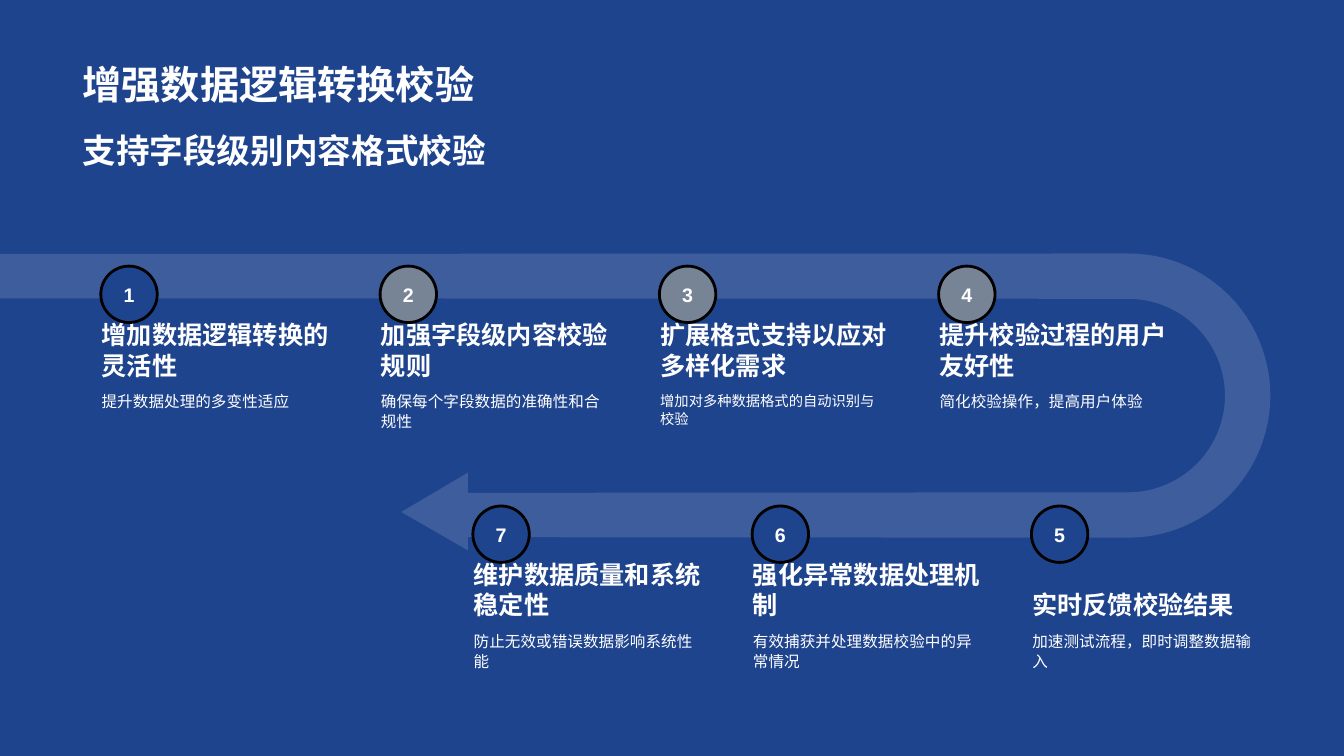
from dataclasses import dataclass
from math import cos, pi, sin

from lxml.etree import SubElement
from pptx import Presentation
from pptx.dml.color import RGBColor
from pptx.enum.lang import MSO_LANGUAGE_ID
from pptx.enum.shapes import MSO_SHAPE
from pptx.enum.text import MSO_ANCHOR, MSO_AUTO_SIZE, PP_ALIGN
from pptx.oxml.ns import qn
from pptx.shapes.base import BaseShape
from pptx.slide import Slide
from pptx.util import Inches, Pt

FONT = "Arial"
BLUE = RGBColor(0x1F, 0x44, 0x8E)
GREY = RGBColor(0x77, 0x84, 0x95)
PALE = RGBColor(0xF0, 0xF0, 0xF0)
WHITE = RGBColor(0xFF, 0xFF, 0xFF)
BLACK = RGBColor(0, 0, 0)

STEP_PITCH = 2.77
STEP_WIDTH = 2.46
HEADING_HEIGHT = 0.62
DETAIL_HEIGHT = 0.51
BADGE_SIZE = 0.56
UPPER_LEFT, UPPER_TOP = 0.91, 3.2
LOWER_LEFT, LOWER_TOP = 10.14, 5.58
UPPER_COUNT = 4


@dataclass
class Step:
    heading: str
    detail: str
    badge: RGBColor = BLUE
    detail_size: float = 11.1


STEPS = [
    Step("增加数据逻辑转换的灵活性", "提升数据处理的多变性适应"),
    Step("加强字段级内容校验规则", "确保每个字段数据的准确性和合规性", GREY),
    Step("扩展格式支持以应对多样化需求", "增加对多种数据格式的自动识别与校验", GREY, 10.2),
    Step("提升校验过程的用户友好性", "简化校验操作，提高用户体验", GREY),
    Step("实时反馈校验结果", "加速测试流程，即时调整数据输入"),
    Step("强化异常数据处理机制", "有效捕获并处理数据校验中的异常情况"),
    Step("维护数据质量和系统稳定性", "防止无效或错误数据影响系统性能"),
]


def write(shape: BaseShape, text: str, size: float, bold: bool = True,
          anchor: MSO_ANCHOR = MSO_ANCHOR.TOP,
          align: PP_ALIGN = PP_ALIGN.LEFT, spacing: float = 1.0) -> None:
    frame = shape.text_frame
    frame.text = text
    frame.word_wrap = True
    frame.auto_size = MSO_AUTO_SIZE.NONE
    frame.vertical_anchor = anchor
    paragraph = frame.paragraphs[0]
    paragraph.alignment = align
    paragraph.line_spacing = spacing
    font = paragraph.font
    font.name, font.size, font.bold = FONT, Pt(size), bold
    font.color.rgb = WHITE
    font.language_id = MSO_LANGUAGE_ID.SIMPLIFIED_CHINESE


def add_text(slide: Slide, left: float, top: float, width: float,
             height: float) -> BaseShape:
    return slide.shapes.add_textbox(Inches(left), Inches(top),
                                    Inches(width), Inches(height))


def arc(radius: float, start: float, end: float,
        segments: int = 48) -> list[tuple[float, float]]:
    """Points of the bend, with angles measured clockwise from the right."""
    angles = [start + (end - start) * i / segments for i in range(segments + 1)]
    return [(11.19 + radius * cos(a), 3.925 + radius * sin(a)) for a in angles]


def add_route(slide: Slide) -> None:
    outline = [
        (0, 2.52),
        *arc(1.41, -pi / 2, pi / 2),
        (4.64, 5.33), (4.64, 5.46), (3.98, 5.08), (4.64, 4.69), (4.64, 4.89),
        *arc(0.96, pi / 2, -pi / 2),
        (0, 2.96),
    ]
    points = [(Inches(x), Inches(y)) for x, y in outline]
    builder = slide.shapes.build_freeform(*points[0])
    builder.add_line_segments(points[1:], close=True)
    route = builder.convert_to_shape()
    route.shadow.inherit = False
    route.line.fill.background()
    route.fill.solid()
    route.fill.fore_color.rgb = PALE
    # Transparency
    color = route.fill._xPr.find(qn("a:solidFill"))[0]
    SubElement(color, qn("a:alpha"), val="15000")


def add_step(slide: Slide, number: int, step: Step, left: float, top: float) -> None:
    heading = add_text(slide, left, top, STEP_WIDTH, HEADING_HEIGHT)
    write(heading, step.heading, 18, anchor=MSO_ANCHOR.BOTTOM)
    detail = add_text(slide, left, top + HEADING_HEIGHT, STEP_WIDTH, DETAIL_HEIGHT)
    write(detail, step.detail, step.detail_size, bold=False, spacing=1.1)

    badge = slide.shapes.add_shape(
        MSO_SHAPE.ROUNDED_RECTANGLE, Inches(left + 0.09), Inches(top - BADGE_SIZE),
        Inches(BADGE_SIZE), Inches(BADGE_SIZE))
    badge.adjustments[0] = 0.5
    badge.shadow.inherit = False
    badge.fill.solid()
    badge.fill.fore_color.rgb = step.badge
    badge.line.color.rgb = BLACK
    badge.line.width = Pt(2)
    write(badge, str(number), 14, anchor=MSO_ANCHOR.MIDDLE, align=PP_ALIGN.CENTER)


def main() -> None:
    deck = Presentation()
    deck.slide_width, deck.slide_height = Inches(13.33), Inches(7.5)
    slide = deck.slides.add_slide(deck.slide_layouts[5])
    slide.background.fill.solid()
    slide.background.fill.fore_color.rgb = BLUE

    # Title and subtitle
    title = slide.shapes.title
    title.left, title.top = Inches(0.72), Inches(0.14)
    title.width, title.height = Inches(11.88), Inches(0.98)
    write(title, "增强数据逻辑转换校验", 28, anchor=MSO_ANCHOR.BOTTOM)
    subtitle = add_text(slide, 0.72, 1.24, 11.88, 0.87)
    write(subtitle, "支持字段级别内容格式校验", 24)

    # Route: upper row runs right, lower row runs back left
    add_route(slide)
    for index, step in enumerate(STEPS):
        if index < UPPER_COUNT:
            left, top = UPPER_LEFT + index * STEP_PITCH, UPPER_TOP
        else:
            left, top = LOWER_LEFT - (index - UPPER_COUNT) * STEP_PITCH, LOWER_TOP
        add_step(slide, index + 1, step, left, top)

    deck.save("out.pptx")


if __name__ == "__main__":
    main()
